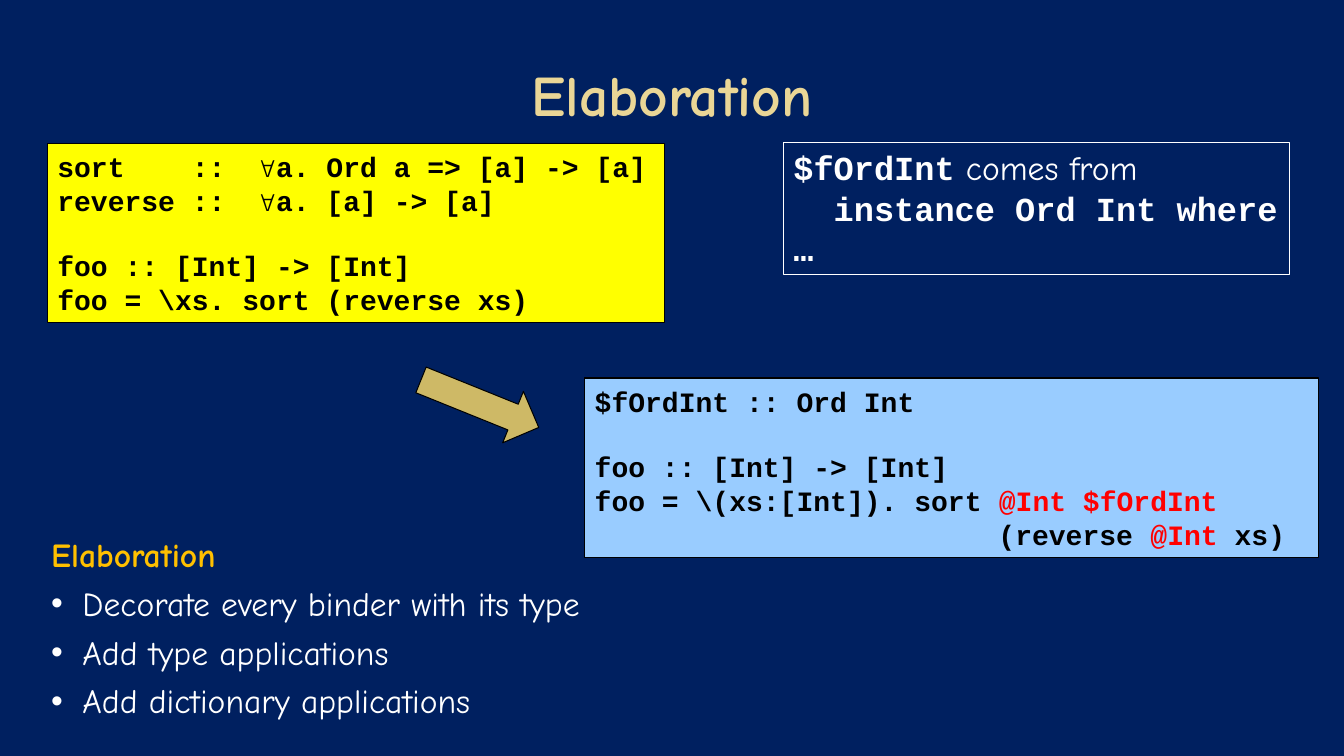
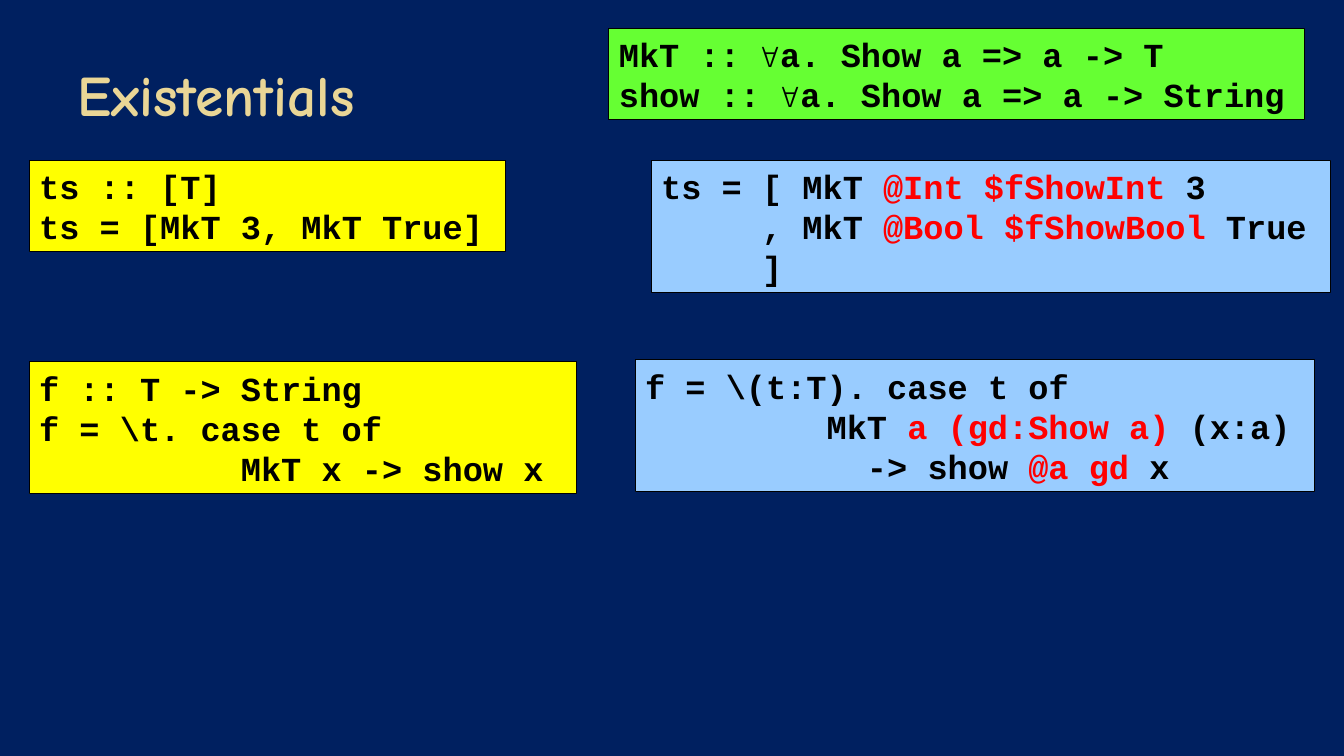
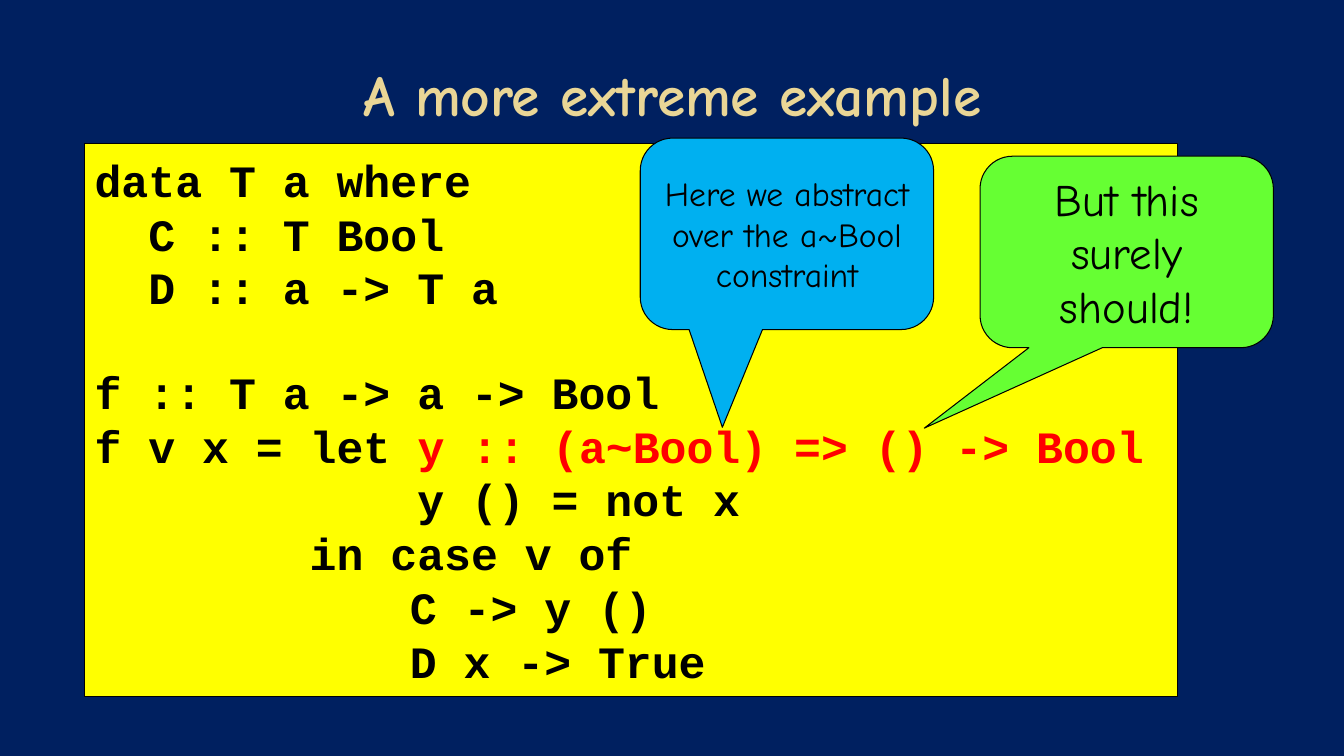
"""Build three slides on type elaboration, existentials and local constraints."""
from dataclasses import dataclass

from lxml.etree import SubElement
from pptx import Presentation
from pptx.dml.color import RGBColor
from pptx.enum.shapes import MSO_SHAPE
from pptx.enum.text import MSO_ANCHOR, MSO_AUTO_SIZE, PP_ALIGN
from pptx.oxml.ns import qn
from pptx.util import Inches, Pt


@dataclass(frozen=True)
class Theme:
    navy: str = "002060"
    gold: str = "EAD696"
    tan: str = "CEB966"
    amber: str = "FFC000"
    yellow: str = "FFFF00"
    pale_blue: str = "99CCFF"
    blue: str = "00B0F0"
    green: str = "66FF33"
    red: str = "FF0000"
    black: str = "000000"
    white: str = "FFFFFF"
    prose: str = "Comic Neue"
    mono: str = "Courier New"
    title: int = 41
    large: int = 32
    medium: int = 24
    small: int = 20


T = Theme()
TITLE = {"name": T.prose, "size": T.title, "bold": True, "color": T.gold}
PROSE = {"name": T.prose, "size": T.medium, "bold": False, "color": T.white}
CODE = {"name": T.mono, "size": T.medium, "bold": True, "color": T.black}
RED = {"color": T.red}
LINE_HEIGHT = 1.13


def write(sp, lines, base, alt=RED, align=PP_ALIGN.LEFT, anchor=MSO_ANCHOR.MIDDLE):
    """Write lines; text between bars takes the alt format, an empty line is a gap."""
    tf = sp.text_frame
    for key, value in {"word_wrap": True, "vertical_anchor": anchor}.items():
        setattr(tf, key, value)
    p, gap = tf.paragraphs[0], 0
    for i, line in enumerate(lines):
        if not line:
            gap = base["size"] * LINE_HEIGHT
            continue
        if i:
            p = tf.add_paragraph()
        p.alignment = align
        if gap:
            p.space_before, gap = Pt(gap), 0
        if "\t" in line:
            tabs = SubElement(p._p.get_or_add_pPr(), qn("a:tabLst"))
            SubElement(tabs, qn("a:tab"), pos=str(Inches(2.06)), algn="l")
        for n, part in enumerate(line.split("|")):
            if not part:
                continue
            r = p.add_run()
            r.text = part
            for key, value in {**base, **(alt if n % 2 else {})}.items():
                if key == "color":
                    r.font.color.rgb = RGBColor.from_string(value)
                else:
                    setattr(r.font, key, Pt(value) if key == "size" else value)


def add_box(s, kind, at, fill, line=T.black):
    """Add a flat outlined shape; without a fill it is transparent."""
    sp = s.shapes.add_shape(kind, *map(Inches, at))
    sp.shadow.inherit = False
    if fill:
        sp.fill.solid()
        sp.fill.fore_color.rgb = RGBColor.from_string(fill)
    else:
        sp.fill.background()
    sp.line.color.rgb = RGBColor.from_string(line)
    sp.line.width = Pt(0.75)
    return sp


SLIDES = [
    ("Elaboration", PP_ALIGN.CENTER, [
        ((0.47, 1.42, 6.12, 1.78), T.yellow, T.small, [
            "sort    ::  ∀a. Ord a => [a] -> [a]",
            "reverse ::  ∀a. [a] -> [a]",
            "",
            "foo :: [Int] -> [Int]",
            "foo = \\xs. sort (reverse xs)"]),
        ((5.8, 3.75, 7.28, 1.78), T.pale_blue, T.small, [
            "$fOrdInt :: Ord Int",
            "",
            "foo :: [Int] -> [Int]",
            "foo = \\(xs:[Int]). sort |@Int $fOrdInt|",
            "                        (reverse |@Int |xs)"]),
    ]),
    ("Existentials", PP_ALIGN.LEFT, [
        ((0.29, 1.59, 4.72, 0.91), T.yellow, T.medium, [
            "ts :: [T]",
            "ts = [MkT 3, MkT True]"]),
        ((6.46, 1.59, 6.74, 1.31), T.pale_blue, T.medium, [
            "ts = [ MkT |@Int $fShowInt |3",
            "     , MkT |@Bool $fShowBool |True",
            "     ]"]),
        ((0.29, 3.59, 5.43, 1.31), T.yellow, T.medium, [
            "f :: T -> String",
            "f = \\t. case t of",
            "          MkT x -> show x"]),
        ((6.3, 3.57, 6.74, 1.31), T.pale_blue, T.medium, [
            "f = \\(t:T). case t of",
            "         MkT |a (gd:Show a) |(x:a)",
            "           -> show |@a gd |x"]),
        ((6.04, 0.28, 6.9, 0.91), T.green, T.medium, [
            "MkT :: ∀a. Show a => a -> T",
            "show :: ∀a. Show a => a -> String"]),
    ]),
    ("A more extreme example", PP_ALIGN.CENTER, [
        ((0.84, 1.42, 10.84, 5.49), T.yellow, T.large, [
            "data T a where",
            "  C :: T Bool",
            "  D :: a -> T a",
            "",
            "f :: T a -> a -> Bool",
            "f v x = let |y :: (a~Bool) => () -> Bool|",
            "            y () = not x",
            "        in case v of",
            "\t    C -> y ()",
            "\t    D x -> True"]),
    ]),
]

prs = Presentation()
prs.slide_width, prs.slide_height = Inches(13.33), Inches(7.5)
slides = []
for title, align, listings in SLIDES:
    s = prs.slides.add_slide(prs.slide_layouts[6])
    s.background.fill.solid()
    s.background.fill.fore_color.rgb = RGBColor.from_string(T.navy)
    sp = s.shapes.add_textbox(*map(Inches, (0.67, 0.3, 12, 1.25)))
    write(sp, [title], TITLE, align=align)
    for at, fill, size, lines in listings:
        sp = add_box(s, MSO_SHAPE.RECTANGLE, at, fill)
        write(sp, lines, {**CODE, "size": size})
        sp.text_frame.auto_size = MSO_AUTO_SIZE.SHAPE_TO_FIT_TEXT
    slides.append(s)
elaboration, existentials, extreme = slides

arrow = add_box(elaboration, MSO_SHAPE.RIGHT_ARROW, (4.13, 3.73, 1.26, 0.55), T.tan)
arrow.rotation = 22

steps = elaboration.shapes.add_textbox(*map(Inches, (0.41, 5.25, 6.12, 1.97)))
write(steps, ["|Elaboration|", "Decorate every binder with its type",
              "Add type applications", "Add dictionary applications"],
      PROSE, {"bold": True, "color": T.amber}, anchor=MSO_ANCHOR.TOP)
for p in steps.text_frame.paragraphs[1:]:
    pPr = p._p.get_or_add_pPr()
    pPr.set("marL", str(Inches(0.31)))
    pPr.set("indent", str(-Inches(0.31)))
    SubElement(pPr, qn("a:buFont"), typeface="Arial")
    SubElement(pPr, qn("a:buChar"), char="•")
    p.space_before = Pt(6)

origin = add_box(elaboration, MSO_SHAPE.RECTANGLE, (7.77, 1.41, 5.02, 1.31), None, T.white)
write(origin, ["$fOrdInt| comes from|", "  instance Ord Int where …"],
      {**CODE, "color": T.white}, PROSE, anchor=MSO_ANCHOR.TOP)

CALLOUTS = [
    ((9.72, 1.55), (-0.69, 0.92, 0.17), T.green, T.large, "But this surely should!"),
    ((6.35, 1.37), (-0.22, 1.01, 0.17), T.blue, T.medium,
     "Here we abstract over the a~Bool constraint"),
]
for corner, adjustments, fill, size, text in CALLOUTS:
    sp = add_box(extreme, MSO_SHAPE.ROUNDED_RECTANGULAR_CALLOUT, (*corner, 2.91, 1.9), fill)
    for i, value in enumerate(adjustments):
        sp.adjustments[i] = value
    write(sp, [text], {**PROSE, "size": size, "color": T.black}, align=PP_ALIGN.CENTER)

prs.save("out.pptx")
